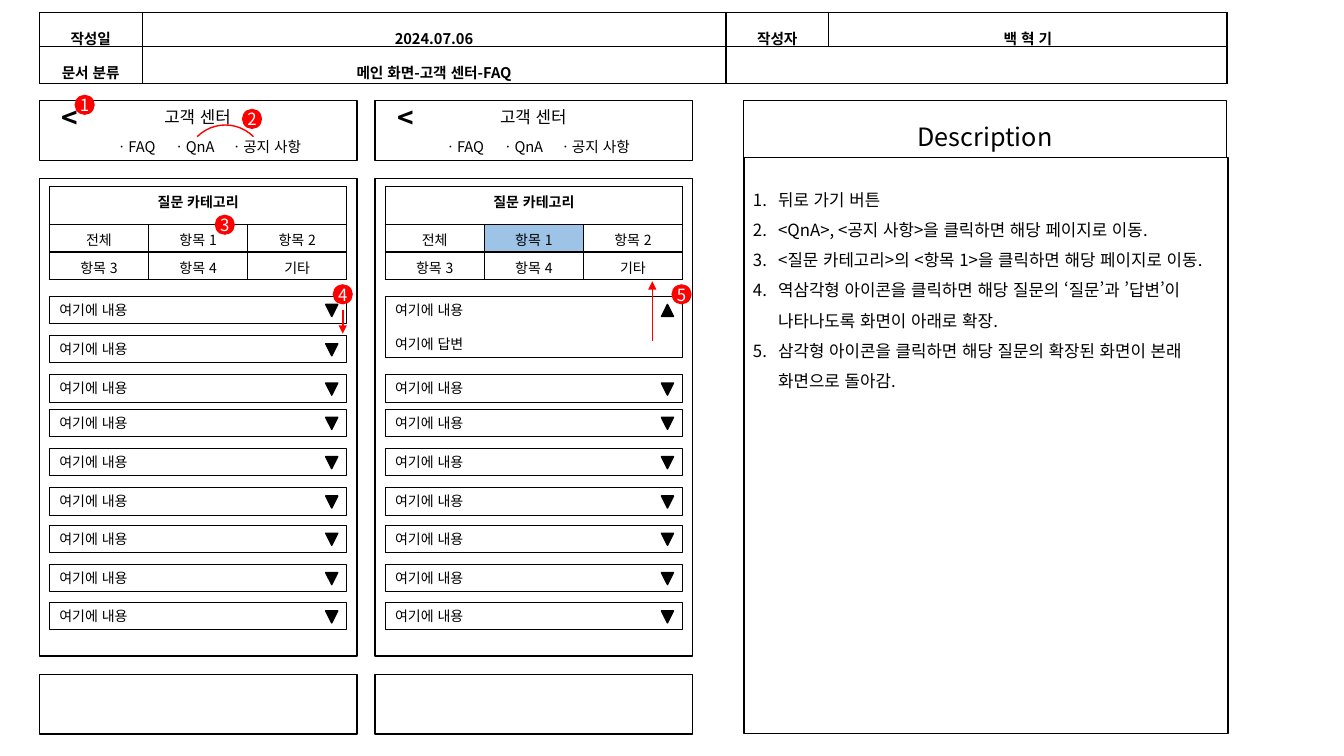
import pptx
import pptx.dml.color
import pptx.enum.lang
import pptx.enum.shapes
import pptx.enum.text
import pptx.oxml
import pptx.oxml.ns
import pptx.util

FONT = "Noto Sans CJK KR"
BLACK, WHITE, RED, BLUE = "000000", "FFFFFF", "FF0000", "9DC3E6"
HEAD = [["작성일", "2024.07.06", "작성자", "백 혁 기"],
        ["문서 분류", "메인 화면-고객 센터-FAQ", "", ""]]
HEAD_COLS = [1.02, 5.79, 1.02, 3.95]
HEAD_TOPS = [0.12, 0.46]
TITLE, MENU = "고객 센터", "ㆍFAQ\tㆍQnA\tㆍ공지 사항"
MENU_TABS = [0.57, 1.14]
TOPICS = [["질문 카테고리", "", ""], ["전체", "항목 1", "항목 2"],
          ["항목 3", "항목 4", "기타"]]
TOPIC_ROWS = [0.38, 0.27, 0.27]
ASK, REPLY = "여기에 내용", "여기에 답변"
ROW_TOPS = [2.94, 3.33, 3.72, 4.06, 4.45, 4.84, 5.21, 5.6, 5.98]
NOTES = [
    "뒤로 가기 버튼",
    "<QnA>, <공지 사항>을 클릭하면 해당 페이지로 이동.",
    "<질문 카테고리>의 <항목 1>을 클릭하면 해당 페이지로 이동.",
    "역삼각형 아이콘을 클릭하면 해당 질문의 ‘질문’과 ’답변’이 나타나도록 화면이 아래로 확장.",
    "삼각형 아이콘을 클릭하면 해당 질문의 확장된 화면이 본래 화면으로 돌아감.",
]
# left edge, menu offset, chosen topic, open row
SCREENS = [(0.39, 0.75, None, False), (3.72, 0.68, "항목 1", True)]
PANELS = [(1, 0.59), (1.77, 4.74), (6.69, 0.59)]
BADGES = [(0.74, 0.94), (2.4, 1.08), (2.13, 2.13), (3.3, 2.82), (6.66, 2.82)]
ARROWS = [(3.4, 3.08, 3.31), (6.47, 3.38, 2.79)]
PAGE_W, LIST_W, SIDE = 3.15, 2.95, 0.1

inch, pt = pptx.util.Inches, pptx.util.Pt
kinds = pptx.enum.shapes.MSO_SHAPE
mid = pptx.enum.text.MSO_ANCHOR.MIDDLE
left, center = pptx.enum.text.PP_ALIGN.LEFT, pptx.enum.text.PP_ALIGN.CENTER
korean = pptx.enum.lang.MSO_LANGUAGE_ID.KOREAN

deck = pptx.Presentation()
deck.slide_width, deck.slide_height = inch(13.33), inch(7.5)
slide = deck.slides.add_slide(deck.slide_layouts[6])
shapes = slide.shapes


def color(code):
    return pptx.dml.color.RGBColor.from_string(code)


def node(parent, tag, **attrs):
    child = parent.makeelement(pptx.oxml.ns.qn(tag), attrs)
    parent.append(child)
    return child


def write(para, text, size, ink=BLACK, bold=False, **form):
    """Fill one paragraph; form holds paragraph settings."""
    for key, value in form.items():
        setattr(para, key, value)
    if not text:
        node(para._p, "a:endParaRPr", sz=str(int(size * 100)))
        return
    run = para.add_run()
    run.text = text
    look = {"name": FONT, "size": pt(size), "bold": bold,
            "language_id": korean}
    for key, value in look.items():
        setattr(run.font, key, value)
    run.font.color.rgb = color(ink)
    node(run._r.get_or_add_rPr(), "a:ea", typeface=FONT)


def setup(frame, pad, top, anchor=pptx.enum.text.MSO_ANCHOR.TOP):
    look = {"word_wrap": True, "margin_left": inch(pad),
            "margin_right": inch(pad), "margin_top": inch(top),
            "margin_bottom": 0, "vertical_anchor": anchor}
    for key, value in look.items():
        setattr(frame, key, value)
    return frame


def draw(kind, box, fill=None, line=BLACK, width=1, turn=0):
    shape = shapes.add_shape(kind, *map(inch, box))
    shape.shadow.inherit = False
    shape.rotation = turn
    if fill:
        shape.fill.solid()
        shape.fill.fore_color.rgb = color(fill)
    else:
        shape.fill.background()
    if line:
        shape.line.color.rgb = color(line)
        shape.line.width = pt(width)
    else:
        shape.line.fill.background()
    return shape


def label(box, text, size, bold=False, align=center):
    frame = setup(shapes.add_textbox(*map(inch, box)).text_frame, 0, 0.05)
    write(frame.paragraphs[0], text, size, bold=bold, alignment=align)
    return frame.paragraphs[0]


def border(cell, bare):
    """Rule all four edges of a cell except the bare one."""
    props = cell._tc.get_or_add_tcPr()
    for edge in ("a:lnL", "a:lnR", "a:lnT", "a:lnB"):
        rule = node(props, edge, w=str(pt(1)))
        if edge == bare:
            node(rule, "a:noFill")
        else:
            node(node(rule, "a:solidFill"), "a:srgbClr", val=BLACK)


def grid(data, x, y, cols, rows, size, mark=None, bare=None, **form):
    """Draw a bordered table; bare maps a column to its open edge."""
    table = shapes.add_table(len(rows), len(cols), inch(x), inch(y),
                             inch(sum(cols)), inch(sum(rows))).table
    table.first_row = table.horz_banding = False
    for i, wide in enumerate(cols):
        table.columns[i].width = inch(wide)
    for r, tall in enumerate(rows):
        table.rows[r].height = inch(tall)
        for c, text in enumerate(data[r]):
            cell = table.cell(r, c)
            cell.margin_bottom = 0
            write(cell.text_frame.paragraphs[0], text, size, bold=r == 0,
                  alignment=center, **form)
            border(cell, (bare or {}).get(c))
            cell.fill.solid()
            cell.fill.fore_color.rgb = color(
                BLUE if mark and text == mark else WHITE)
    return table


def question(x, y, opened):
    tall = 0.61 if opened else 0.27
    box = draw(kinds.RECTANGLE, (x, y, LIST_W, tall), width=0.75)
    frame = setup(box.text_frame, 0.1, 0.05)
    write(frame.paragraphs[0], ASK, 10, alignment=left)
    if opened:
        write(frame.add_paragraph(), REPLY, 10, alignment=left,
              space_before=pt(12.5))
    draw(kinds.ISOSCELES_TRIANGLE, (x + 2.74, y + 0.08, 0.12, 0.12),
         fill=BLACK, turn=0 if opened else 180)


def screen(x, shift, mark, opened):
    for y, tall in PANELS:
        draw(kinds.RECTANGLE, (x, y, PAGE_W, tall))
    label((x + 1.09, 1.01, 0.96, 0.3), TITLE, 12)
    menu = label((x + shift, 1.32, 2.2, 0.28), MENU, 10.5, align=left)
    tabs = node(menu._p.get_or_add_pPr(), "a:tabLst")
    for stop in MENU_TABS:
        node(tabs, "a:tab", pos=str(inch(stop)), algn="l")
    label((x, 0.95, 0.61, 0.44), "<", 20, bold=True)
    table = grid(TOPICS, x + SIDE, 1.85, [LIST_W / 3] * 3, TOPIC_ROWS, 10,
                 mark)
    table.cell(0, 0).merge(table.cell(0, 2))
    for i, y in enumerate(ROW_TOPS):
        if not (opened and i == 1):
            question(x + SIDE, y, opened and i == 0)


def describe(x, wide):
    head = draw(kinds.RECTANGLE, (x, 1, wide, 0.56), width=0.75)
    frame = setup(head.text_frame, 0, 0, mid)
    write(frame.paragraphs[0], "Description", 18, alignment=center,
          line_spacing=1.5)
    draw(kinds.RECTANGLE, (x + 0.01, 1.56, wide, 5.72))
    area = shapes.add_textbox(*map(inch, (x, 1.73, wide, 2.52)))
    frame = setup(area.text_frame, 0.1, 0.05)
    for i, text in enumerate(NOTES):
        para = frame.add_paragraph() if i else frame.paragraphs[0]
        props = para._p.get_or_add_pPr()
        props.set("marL", str(inch(0.25)))
        props.set("indent", str(-inch(0.25)))
        node(props, "a:buFont", typeface="+mj-lt")
        node(props, "a:buAutoNum", type="arabicPeriod")
        write(para, text, 12, line_spacing=1.5)


def arrow(x, start, end):
    line = shapes.add_connector(pptx.enum.shapes.MSO_CONNECTOR.STRAIGHT,
                                *map(inch, (x, start, x, end)))
    line.line.color.rgb = color(RED)
    line.line.width = pt(1)
    node(line.line._get_or_add_ln(), "a:tailEnd", type="triangle")
    node(line._element.spPr, "a:effectLst")


for row, y in zip(HEAD, HEAD_TOPS):
    bare = None if row[-1] else {2: "a:lnR", 3: "a:lnL"}
    grid([row], 0.39, y, HEAD_COLS, [0.33], 10.5, bare=bare,
         line_spacing=1.5)
for item in SCREENS:
    screen(*item)
describe(7.37, 4.8)
draw(kinds.ARC, (1.84, 1.24, 0.79, 0.79), line=RED, turn=-45)
for item in ARROWS:
    arrow(*item)
for number, (x, y) in enumerate(BADGES, 1):
    dot = draw(kinds.OVAL, (x, y, 0.2, 0.2), fill=RED, line=None)
    frame = setup(dot.text_frame, 0, 0, mid)
    write(frame.paragraphs[0], str(number), 12, WHITE, alignment=center)

deck.save("out.pptx")
